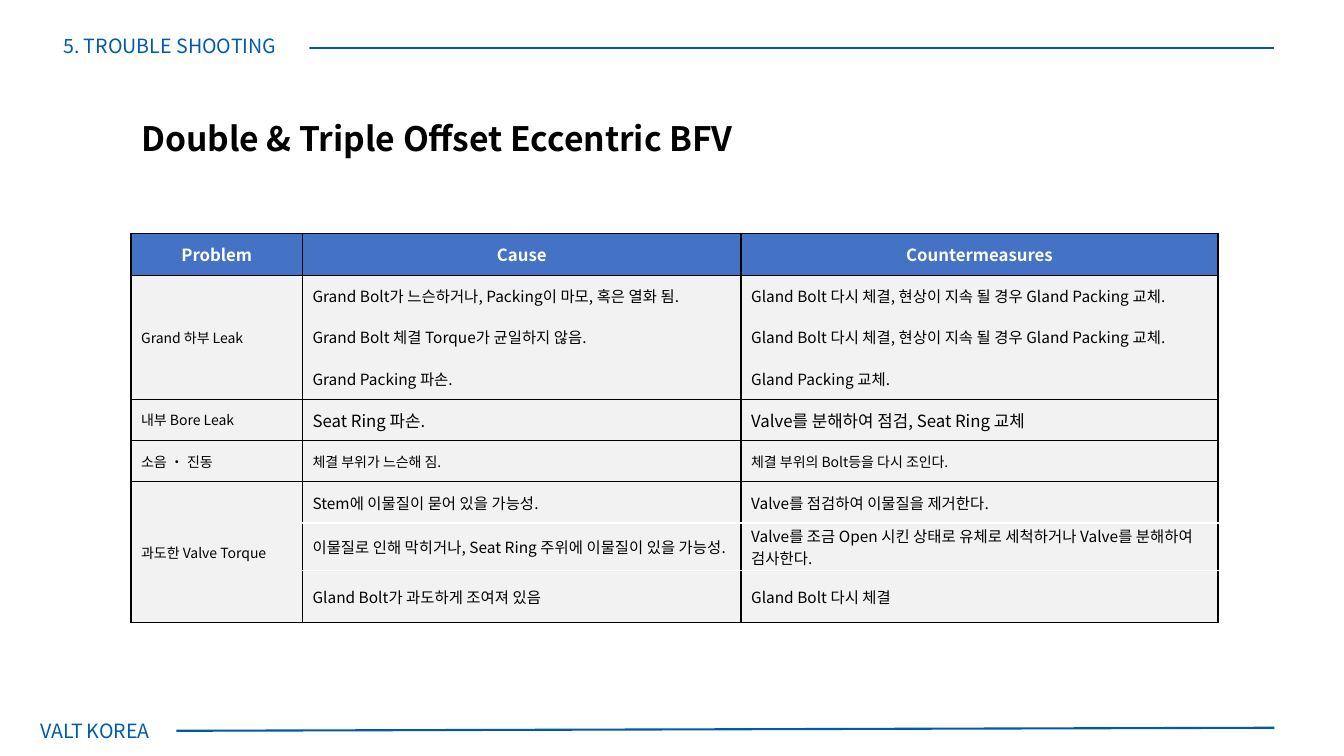
from lxml.etree import SubElement
from pptx import Presentation
from pptx.dml.color import RGBColor
from pptx.enum.shapes import MSO_CONNECTOR, MSO_SHAPE
from pptx.enum.text import MSO_ANCHOR, PP_ALIGN
from pptx.oxml.ns import qn
from pptx.util import Pt

PX = 9144  # EMU in one px, 100 px to the inch
COLOURS = {"blue": "005AAB", "header": "4472C4", "cell": "F2F2F2",
           "black": "000000", "white": "FFFFFF"}
JP, KR = "Noto Sans CJK JP", "Noto Sans CJK KR"


def write(paragraph, text, font=JP, size=14, colour="black", bold=False, align=PP_ALIGN.LEFT):
    paragraph.alignment = align
    run = paragraph.add_run()
    run.text = text
    run.font.name, run.font.size, run.font.bold = font, Pt(size), bold
    run.font.color.rgb = RGBColor.from_string(COLOURS[colour])
    SubElement(run._r.get_or_add_rPr(), qn("a:ea"), typeface=font)


def set_border(cell, side, colour):
    line = SubElement(cell._tc.get_or_add_tcPr(), qn(f"a:ln{side}"), w=str(Pt(1)))
    if colour is None:
        SubElement(line, qn("a:noFill"))
    else:
        fill = SubElement(line, qn("a:solidFill"))
        SubElement(fill, qn("a:srgbClr"), val=COLOURS[colour])


presentation = Presentation()
presentation.slide_width, presentation.slide_height = 1333 * PX, 750 * PX
slide = presentation.slides.add_slide(presentation.slide_layouts[5])

# Title
title = slide.shapes.title
title.left, title.top, title.width, title.height = 130 * PX, 112 * PX, 876 * PX, 50 * PX
title.text_frame.vertical_anchor = MSO_ANCHOR.MIDDLE
write(title.text_frame.paragraphs[0], "Double & Triple Offset Eccentric BFV", size=24, bold=True)

# Header and footer lines
for x1, y1, x2, y2 in [(1264, 48, 50, 48), (1264, 722, 175, 725)]:
    rule = slide.shapes.add_connector(MSO_CONNECTOR.STRAIGHT, x1 * PX, y1 * PX, x2 * PX, y2 * PX)
    rule.line.color.rgb = RGBColor.from_string(COLOURS["blue"])
    rule.line.width = Pt(1.5)
    SubElement(rule._element.spPr, qn("a:effectLst"))

# Company name
company = slide.shapes.add_textbox(30 * PX, 708 * PX, 145 * PX, 34 * PX)
company.text_frame.word_wrap = True
company.text_frame.vertical_anchor = MSO_ANCHOR.MIDDLE
for text, size in [("VALT", 14), (" ", 12), ("KOREA", 14)]:
    write(company.text_frame.paragraphs[0], text, font=KR, size=size, colour="blue")

# Section label, covering the start of the header line
section = slide.shapes.add_shape(MSO_SHAPE.RECTANGLE, 30 * PX, 28 * PX, 277 * PX, 34 * PX)
section.shadow.inherit = False
section.fill.solid()
section.fill.fore_color.rgb = RGBColor.from_string(COLOURS["white"])
section.line.fill.background()
section.text_frame.vertical_anchor = MSO_ANCHOR.MIDDLE
write(section.text_frame.paragraphs[0], "5. TROUBLE SHOOTING", font=KR, colour="blue",
      align=PP_ALIGN.CENTER)

# Problem groups: problem, text size, colour of inner row borders, (cause, countermeasure) rows
groups = [
    ("Grand 하부 Leak", 11, None, [
        ("Grand Bolt가 느슨하거나, Packing이 마모, 혹은 열화 됨.",
         "Gland Bolt 다시 체결, 현상이 지속 될 경우 Gland Packing 교체."),
        ("Grand Bolt 체결 Torque가 균일하지 않음.",
         "Gland Bolt 다시 체결, 현상이 지속 될 경우 Gland Packing 교체."),
        ("Grand Packing 파손.", "Gland Packing 교체.")]),
    ("내부 Bore Leak", 12, None, [
        ("Seat Ring 파손.", "Valve를 분해하여 점검, Seat Ring 교체")]),
    ("소음 ・ 진동", 10, None, [
        ("체결 부위가 느슨해 짐.", "체결 부위의 Bolt등을 다시 조인다.")]),
    ("과도한 Valve Torque", 11, "white", [
        ("Stem에 이물질이 묻어 있을 가능성.", "Valve를 점검하여 이물질을 제거한다."),
        ("이물질로 인해 막히거나, Seat Ring 주위에 이물질이 있을 가능성.",
         "Valve를 조금 Open 시킨 상태로 유체로 세척하거나 Valve를 분해하여 검사한다."),
        ("Gland Bolt가 과도하게 조여져 있음", "Gland Bolt 다시 체결")]),
]

# Table grid, with a taller row for the two-line texts
column_widths = [170, 435, 473]
row_heights = [41] * 7 + [47, 52]
table = slide.shapes.add_table(len(row_heights), len(column_widths), 130 * PX, 232 * PX,
                               sum(column_widths) * PX, sum(row_heights) * PX).table
table.first_row = table.horz_banding = False
for column, width in zip(table.columns, column_widths):
    column.width = width * PX
for row, height in zip(table.rows, row_heights):
    row.height = height * PX

# Table text
for index, heading in enumerate(["Problem", "Cause", "Countermeasures"]):
    write(table.cell(0, index).text_frame.paragraphs[0], heading, size=12, colour="white",
          bold=True, align=PP_ALIGN.CENTER)
inner_borders = {}  # row index: colour of the border above it
first = 1
for problem, size, inner, rows in groups:
    write(table.cell(first, 0).text_frame.paragraphs[0], problem, size=10)
    for index, texts in enumerate(rows, first):
        if index > first:
            inner_borders[index] = inner
        for column, text in enumerate(texts, 1):
            write(table.cell(index, column).text_frame.paragraphs[0], text, size=size)
    if len(rows) > 1:
        table.cell(first, 0).merge(table.cell(first + len(rows) - 1, 0))
    first += len(rows)

# Table margins, borders and fills
for row in range(len(row_heights)):
    for column in range(len(column_widths)):
        cell = table.cell(row, column)
        cell.vertical_anchor = MSO_ANCHOR.MIDDLE
        cell.margin_top = cell.margin_bottom = PX
        cell.margin_left = 10 * PX
        cell.margin_right = (15 if row else 10) * PX
        above, below = (inner_borders.get(edge, "black") if column else "black"
                        for edge in (row, row + 1))
        for side, colour in zip("LRTB", ("black", "black", above, below)):
            set_border(cell, side, colour)
        cell.fill.solid()
        cell.fill.fore_color.rgb = RGBColor.from_string(COLOURS["cell" if row else "header"])

presentation.save("out.pptx")
